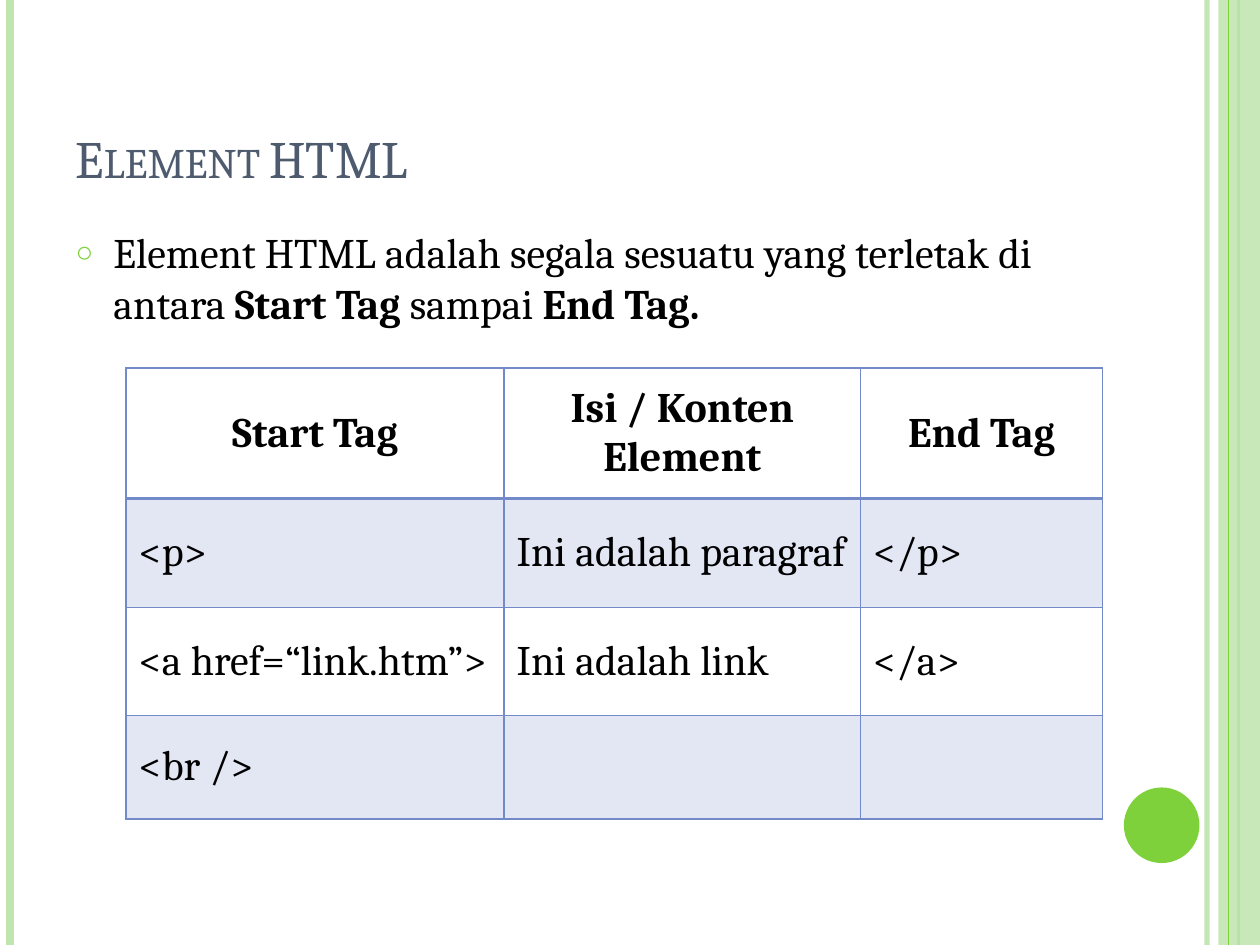
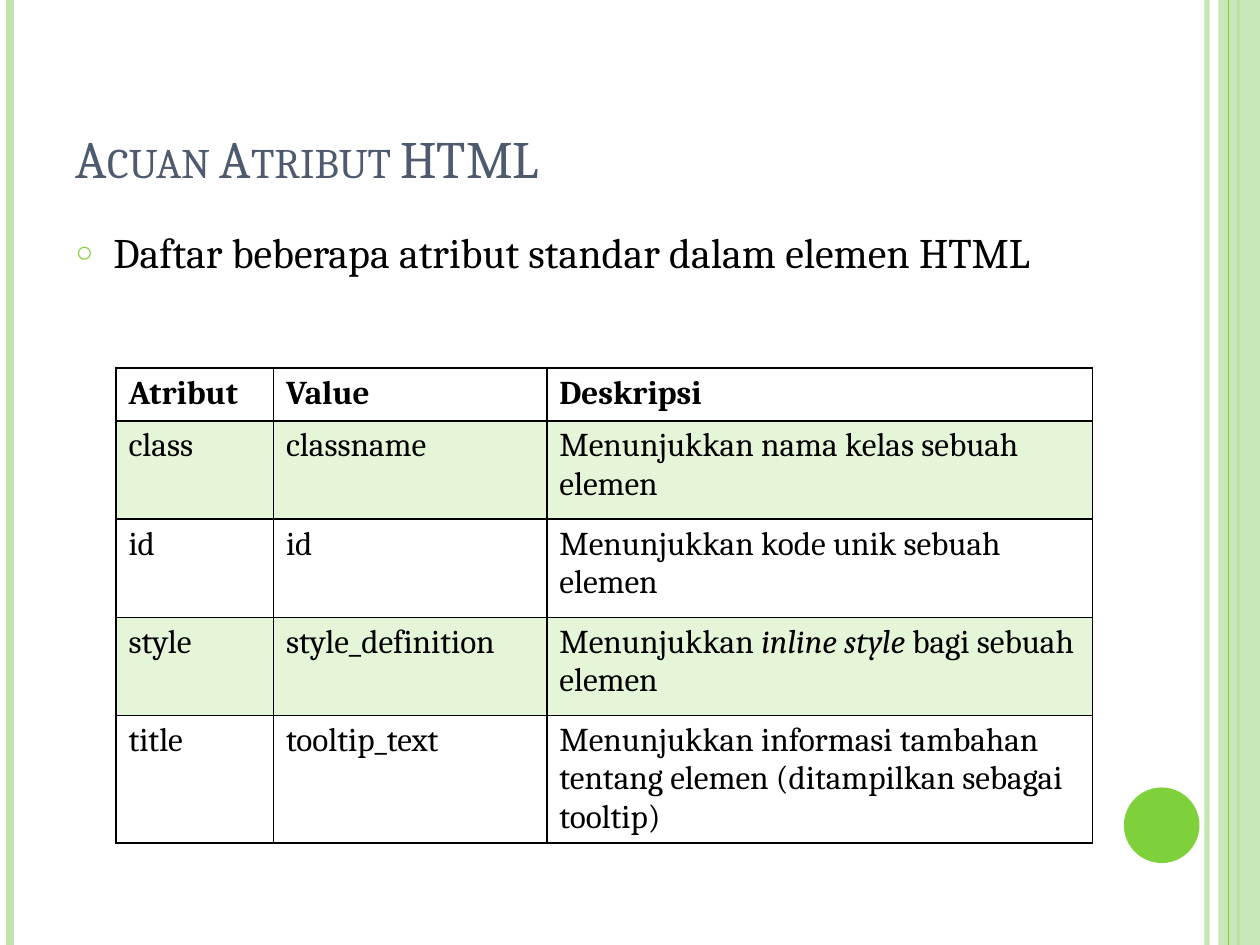
from lxml.etree import SubElement
from pptx import Presentation
from pptx.dml.color import RGBColor
from pptx.enum.shapes import MSO_CONNECTOR as Connector, MSO_SHAPE as Shape
from pptx.enum.text import MSO_ANCHOR as Anchor, MSO_AUTO_SIZE as AutoSize, PP_ALIGN as Align
from pptx.oxml.ns import qn
from pptx.util import Inches, Pt

COLORS = {"green": "7FD13B", "pale": "C0E5AF", "title": "4E5B6F",
          "text": "000000", "blue": "738AC8"}
FONT = "Cambria"
WIDTH, HEIGHT = 10, 7.5
TITLE_BOX = (0.5, 0.3, 8.17, 1.25)
BODY_BOX = (0.5, 1.75, 8.17, 5.33)
BAND_LINES = [(9.58, "pale", 3, 93), (0.08, "pale", 4.5, 100), (9.83, "green", 1.5, 100)]

ELEMENT_BULLET = [("Element HTML adalah segala sesuatu yang terletak di antara ", ""),
                  ("Start Tag ", "bold"), ("sampai ", ""), ("End Tag.", "bold")]
ELEMENT_ROWS = [
    ["Start Tag", "Isi / Konten Element", "End Tag"],
    ["<p>", "Ini adalah paragraf", "</p>"],
    ["<a href=“link.htm”>", "Ini adalah link", "</a>"],
    ["<br />", "", ""],
]
ATTRIBUTE_BULLET = "Daftar beberapa atribut standar dalam elemen HTML"
ATTRIBUTE_ROWS = [
    ["Atribut", "Value", "Deskripsi"],
    ["class", "classname", "Menunjukkan nama kelas sebuah elemen"],
    ["id", "id", "Menunjukkan kode unik sebuah elemen"],
    ["style", "style_definition",
     [("Menunjukkan ", ""), ("inline style ", "italic"), ("bagi sebuah elemen", "")]],
    ["title", "tooltip_text",
     "Menunjukkan informasi tambahan tentang elemen (ditampilkan sebagai tooltip)"],
]


def rgb(name):
    """Return the named colour."""
    return RGBColor.from_string(COLORS[name])


def set_alpha(element, percent):
    """Make the last colour inside an element partly transparent."""
    color = element.xpath(".//a:srgbClr")[-1]
    SubElement(color, qn("a:alpha"), val=str(percent * 1000))


def write(paragraph, content, size, color="text", bold=False):
    """Write a string, or a list of (text, style) pairs, into a paragraph."""
    if isinstance(content, str):
        paragraph.text = content
    else:
        for text, style in content:
            run = paragraph.add_run()
            run.text = text
            run.font.italic = style == "italic"
            run.font.bold = style == "bold"
    for run in paragraph.runs:
        run.font.name = FONT
        run.font.size = Pt(size)
        run.font.color.rgb = rgb(color)
        if bold:
            run.font.bold = True


def add_band_line(slide, x, color, width, alpha=100):
    """Draw one full-height vertical line."""
    line = slide.shapes.add_connector(Connector.STRAIGHT, Inches(x), 0, Inches(x), Inches(HEIGHT))
    line.line.color.rgb = rgb(color)
    line.line.width = Pt(width)
    properties = line._element.spPr
    if alpha < 100:
        set_alpha(properties, alpha)
    SubElement(properties, qn("a:effectLst"))


def add_filled(slide, kind, box, color, alpha=100):
    """Draw a preset shape with a plain fill and no outline."""
    shape = slide.shapes.add_shape(kind, *map(Inches, box))
    shape.shadow.inherit = False
    shape.fill.solid()
    shape.fill.fore_color.rgb = rgb(color)
    shape.line.fill.background()
    if alpha < 100:
        set_alpha(shape._element.spPr, alpha)


def add_bands(slide):
    """Draw the side bands and the green disc that all slides share."""
    for band_line in BAND_LINES:
        add_band_line(slide, *band_line)
    add_filled(slide, Shape.RECTANGLE, (WIDTH - 0.33, 0, 0.33, HEIGHT), "pale", 87)
    add_band_line(slide, 9.75, "green", 0.75)
    add_filled(slide, Shape.OVAL, (8.92, 6.25, 0.6, 0.6), "green")


def place(shape, box, anchor):
    """Move a placeholder to a box and return its first paragraph."""
    shape.left, shape.top, shape.width, shape.height = map(Inches, box)
    text_frame = shape.text_frame
    text_frame.word_wrap = True
    text_frame.auto_size = AutoSize.NONE
    text_frame.vertical_anchor = anchor
    paragraph = text_frame.paragraphs[0]
    paragraph.alignment = Align.LEFT
    paragraph.space_before = Pt(0)
    return paragraph


def fill_title(slide, title):
    """Write the small-caps title."""
    paragraph = place(slide.shapes.title, TITLE_BOX, Anchor.BOTTOM)
    write(paragraph, title, 30, "title")
    for run in paragraph.runs:
        run._r.get_or_add_rPr().set("cap", "small")


def fill_body(slide, content):
    """Write the single bullet of the body."""
    paragraph = place(slide.placeholders[1], BODY_BOX, Anchor.TOP)
    properties = paragraph._p.get_or_add_pPr()
    properties.set("marL", str(Inches(0.3)))
    properties.set("indent", str(-Inches(0.3)))
    bullet_color = SubElement(properties, qn("a:buClr"))
    SubElement(bullet_color, qn("a:srgbClr"), val=COLORS["green"])
    SubElement(properties, qn("a:buSzPct"), val="70000")
    SubElement(properties, qn("a:buChar"), char="○")
    write(paragraph, content, 24)


def set_borders(cell, color, top=1, bottom=1):
    """Draw the four borders of a cell, one point wide at the sides."""
    properties = cell._tc.get_or_add_tcPr()
    for side, width in zip("LRTB", (1, 1, top, bottom)):
        border = SubElement(properties, qn(f"a:ln{side}"), w=str(Pt(width)))
        fill = SubElement(border, qn("a:solidFill"))
        SubElement(fill, qn("a:srgbClr"), val=COLORS[color])


def add_table(slide, position, columns, heights, rows, size, border, tint,
              header_rule=1, header_align=Align.LEFT, anchor=Anchor.TOP):
    """Add a bordered table with a bold header and every second row tinted."""
    left, top = position
    frame = slide.shapes.add_table(len(rows), len(columns), Inches(left), Inches(top),
                                   Inches(sum(columns)), Inches(sum(heights)))
    table = frame.table
    table.first_row = table.horz_banding = False
    for column, width in zip(table.columns, columns):
        column.width = Inches(width)
    for row, height in zip(table.rows, heights):
        row.height = Inches(height)
    for row_index, row in enumerate(rows):
        is_header = row_index == 0
        for column_index, content in enumerate(row):
            cell = table.cell(row_index, column_index)
            cell.vertical_anchor = anchor
            paragraph = cell.text_frame.paragraphs[0]
            paragraph.alignment = header_align if is_header else Align.LEFT
            write(paragraph, content, size, bold=is_header)
            set_borders(cell, border, header_rule if row_index == 1 else 1,
                        header_rule if is_header else 1)
            if row_index % 2:
                cell.fill.solid()
                cell.fill.fore_color.rgb = rgb(tint)
                set_alpha(cell._tc.tcPr, 20)
            else:
                cell.fill.background()


def add_table_slide(presentation, title, bullet, **table_options):
    """Add a slide with a title, one bullet and a table."""
    slide = presentation.slides.add_slide(presentation.slide_layouts[1])
    add_bands(slide)
    fill_title(slide, title)
    fill_body(slide, bullet)
    add_table(slide, **table_options)


def main():
    """Build and save the presentation."""
    presentation = Presentation()
    presentation.slide_width, presentation.slide_height = Inches(WIDTH), Inches(HEIGHT)
    add_table_slide(presentation, "Element HTML", ELEMENT_BULLET,
                    position=(1, 2.92), columns=[3, 2.83, 1.92],
                    heights=[1.04, 0.86, 0.86, 0.82], rows=ELEMENT_ROWS, size=24,
                    border="blue", tint="blue", header_rule=2,
                    header_align=Align.CENTER, anchor=Anchor.MIDDLE)
    add_table_slide(presentation, "Acuan Atribut HTML", ATTRIBUTE_BULLET,
                    position=(0.92, 2.92), columns=[1.25, 2.17, 4.33],
                    heights=[0.42] + [0.78] * 4, rows=ATTRIBUTE_ROWS, size=19,
                    border="text", tint="green")
    presentation.save("out.pptx")


if __name__ == "__main__":
    main()
